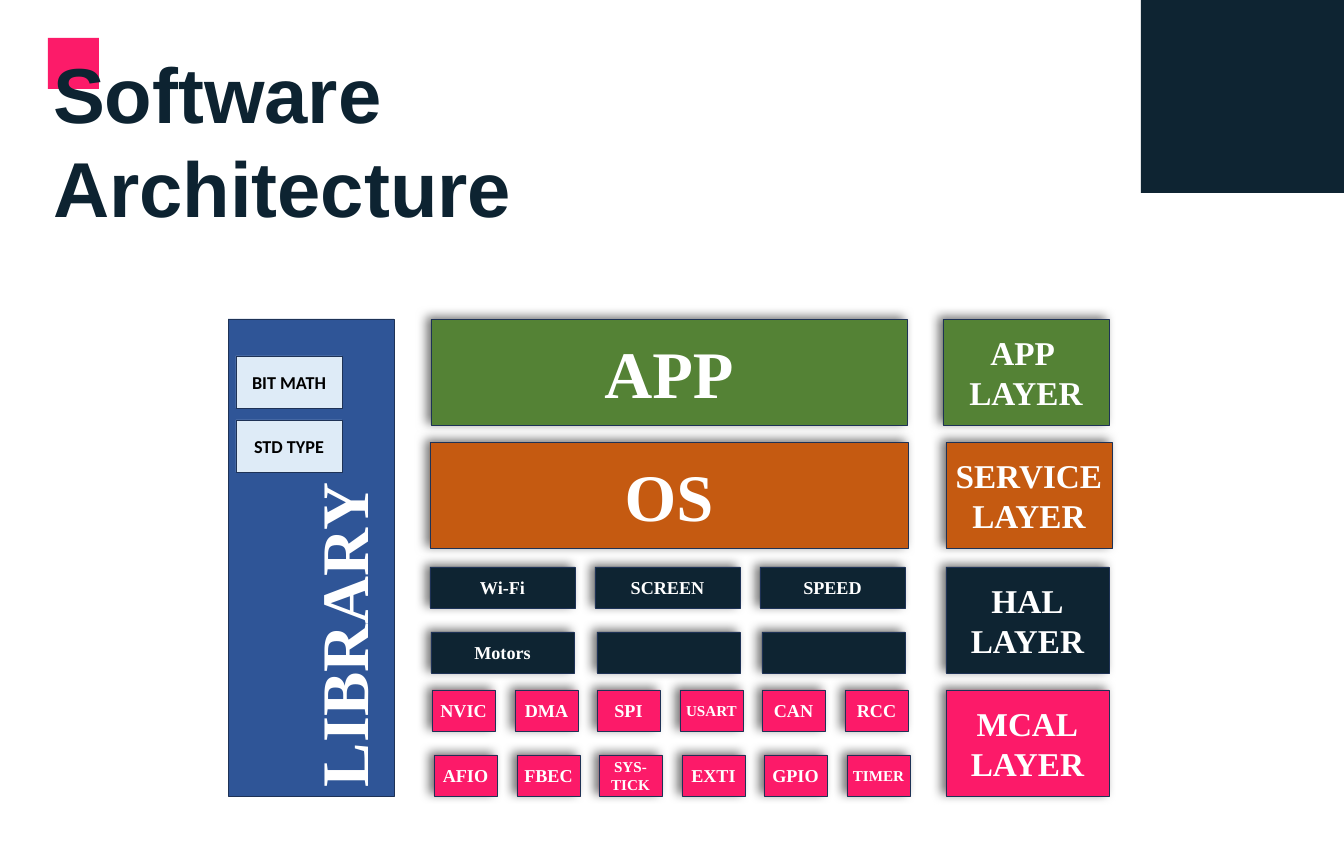
from dataclasses import dataclass

from lxml import etree
from pptx import Presentation
from pptx.dml.color import RGBColor
from pptx.enum.shapes import MSO_SHAPE
from pptx.enum.text import MSO_ANCHOR, MSO_AUTO_SIZE, PP_ALIGN
from pptx.oxml.ns import qn
from pptx.util import Emu, Pt

RECT = MSO_SHAPE.RECTANGLE
LEFT, CENTER = PP_ALIGN.LEFT, PP_ALIGN.CENTER
TOP, MIDDLE = MSO_ANCHOR.TOP, MSO_ANCHOR.MIDDLE
NO_AUTOFIT = MSO_AUTO_SIZE.NONE

EMU_PER_PX = 16809
SLIDE_W, SLIDE_H = 1344, 843
SERIF = "Times New Roman"
COLORS = {
    "navy": "0E2432", "title": "0D2331", "accent": "FC1B69", "pink": "FC1A69",
    "blue": "2F5597", "orange": "C55A11", "green": "548235", "pale": "DEEBF7",
    "outline": "1E3256", "white": "FFFFFF", "black": "000000",
}


@dataclass(frozen=True)
class Box:
    x: int
    y: int
    w: int
    h: int
    fill: str
    text: str = ""
    size: int = 24
    font: str = SERIF
    color: str = "white"
    outlined: bool = True
    shadow: bool = True


@dataclass(frozen=True)
class Row:
    """Equal boxes whose left edges run evenly from first_x to last_x."""
    first_x: int
    last_x: int
    y: int
    w: int
    h: int
    fill: str
    labels: tuple[str, ...]


LONG_LABELS = {"USART", "TIMER", "SYS-TICK"}

DECORATION = [
    Box(1141, -2, 203, 195, "navy", outlined=False, shadow=False),
    Box(48, 38, 51, 51, "accent", outlined=False, shadow=False),
]
LIBRARY = [
    Box(228, 319, 166, 477, "blue", shadow=False),
    Box(236, 356, 106, 52, "pale", "BIT MATH", font="Calibri", color="black", shadow=False),
    Box(236, 420, 106, 52, "pale", "STD TYPE", font="Calibri", color="black", shadow=False),
]
LAYERS = [
    Box(430, 442, 478, 106, "orange", "OS", 88),
    Box(431, 319, 476, 106, "green", "APP", 88),
    Box(943, 319, 166, 106, "green", "APP \nLAYER", 44),
    Box(946, 442, 166, 106, "orange", "SERVICE\nLAYER", 44),
    Box(946, 567, 163, 106, "navy", "HAL\nLAYER", 44),
    Box(946, 690, 163, 106, "pink", "MCAL\nLAYER", 44),
]
MODULE_ROWS = [
    Row(430, 760, 567, 145, 41, "navy", ("Wi-Fi", "SCREEN", "SPEED")),
    Row(431, 762, 632, 143, 41, "navy", ("Motors", "", "")),
    Row(432, 845, 690, 63, 41, "pink", ("NVIC", "DMA", "SPI", "USART", "CAN", "RCC")),
    Row(434, 847, 755, 63, 41, "pink", ("AFIO", "FBEC", "SYS-TICK", "EXTI", "GPIO", "TIMER")),
]


def px(n: int) -> Emu:
    return Emu(n * EMU_PER_PX)


def rgb(name: str) -> RGBColor:
    return RGBColor.from_string(COLORS[name])


def write(sp, text: str, *, size: int, font: str = SERIF, color: str = "white",
          align=CENTER, anchor=MIDDLE) -> None:
    tf = sp.text_frame
    tf.word_wrap = True
    tf.auto_size = NO_AUTOFIT
    tf.vertical_anchor = anchor
    for i, line in enumerate(text.split("\n")):
        p = tf.add_paragraph() if i else tf.paragraphs[0]
        p.alignment = align
        r = p.add_run()
        r.text = line
        r.font.size, r.font.name, r.font.bold = Pt(size), font, True
        r.font.color.rgb = rgb(color)


def add_shadow(sp) -> None:
    effects = sp.element.spPr.find(qn("a:effectLst"))
    shadow = etree.SubElement(effects, qn("a:outerShdw"), blurRad=str(Pt(14)),
                              dist=str(Pt(7)), dir=str(210 * 60000), rotWithShape="0")
    color = etree.SubElement(shadow, qn("a:srgbClr"), val=COLORS["black"])
    etree.SubElement(color, qn("a:alpha"), val="53000")


def draw_box(slide, box: Box) -> None:
    sp = slide.shapes.add_shape(RECT, px(box.x), px(box.y), px(box.w), px(box.h))
    sp.shadow.inherit = False
    sp.fill.solid()
    sp.fill.fore_color.rgb = rgb(box.fill)
    if box.outlined:
        sp.line.color.rgb = rgb("outline")
        sp.line.width = Pt(1)
    else:
        sp.line.fill.background()
    if box.shadow:
        add_shadow(sp)
    if box.text:
        write(sp, box.text, size=box.size, font=box.font, color=box.color)


def draw_row(slide, row: Row) -> None:
    span, gaps = row.last_x - row.first_x, len(row.labels) - 1
    for i, label in enumerate(row.labels):
        x = row.first_x + round(span * i / gaps)
        size = 20 if label in LONG_LABELS else 24
        draw_box(slide, Box(x, row.y, row.w, row.h, row.fill, label, size))


def draw_title(slide) -> None:
    sp = slide.shapes.title
    sp.left, sp.top, sp.width, sp.height = px(53), px(45), px(520), px(188)
    tf = sp.text_frame
    tf.margin_left = tf.margin_top = tf.margin_right = tf.margin_bottom = 0
    write(sp, "Software\nArchitecture", size=103, font="Arial", color="title",
          align=LEFT, anchor=TOP)
    for p in tf.paragraphs:
        p.line_spacing = Pt(124.5)
        p.space_before = Pt(0)
    # Bring the title in front of the accent square
    sp.element.getparent().append(sp.element)


def draw_library_label(slide) -> None:
    sp = slide.shapes.add_textbox(px(176), px(592), px(332), px(86))
    sp.rotation = 270
    write(sp, "LIBRARY", size=88, anchor=TOP)


def main() -> None:
    prs = Presentation()
    prs.slide_width, prs.slide_height = px(SLIDE_W), px(SLIDE_H)
    slide = prs.slides.add_slide(prs.slide_layouts.get_by_name("Title Only"))

    # Heading
    for box in DECORATION:
        draw_box(slide, box)
    draw_title(slide)

    # Library column and layer blocks
    for box in LIBRARY + LAYERS:
        draw_box(slide, box)
    draw_library_label(slide)

    # HAL and MCAL modules
    for row in MODULE_ROWS:
        draw_row(slide, row)

    prs.save("out.pptx")


if __name__ == "__main__":
    main()
